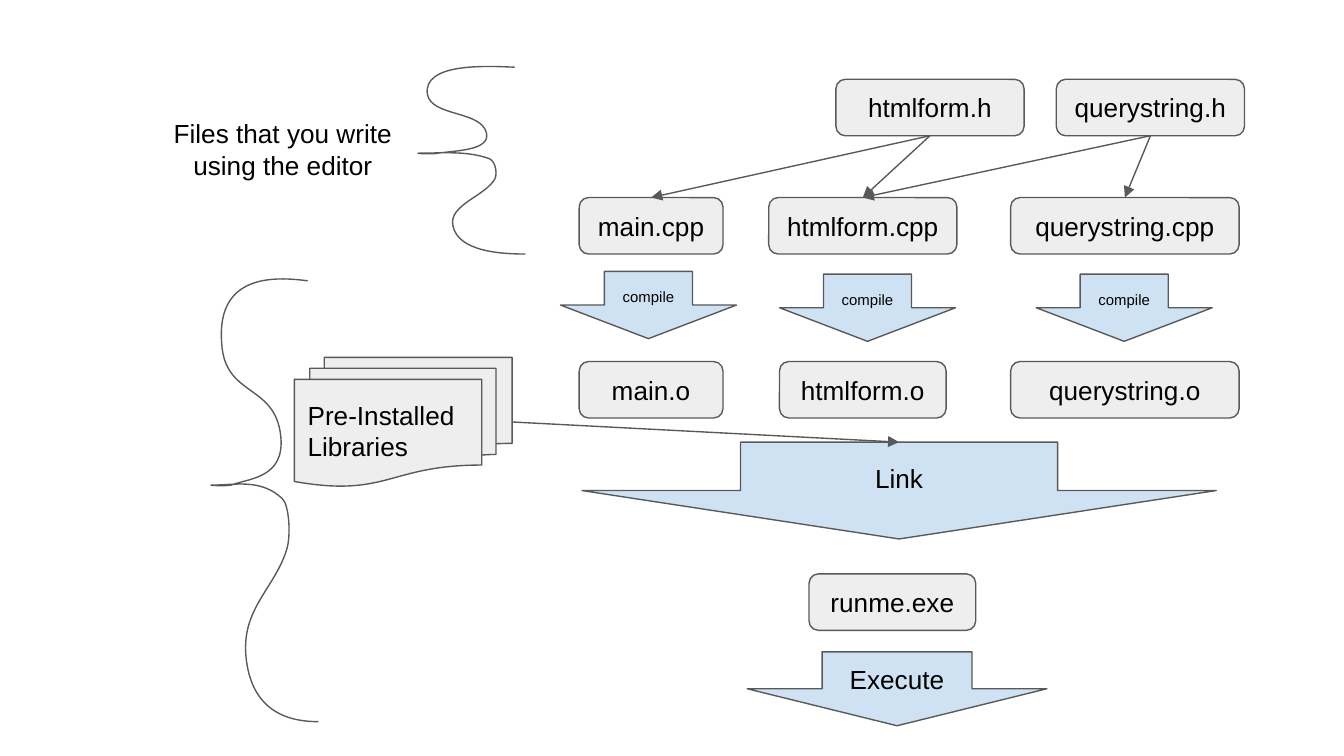
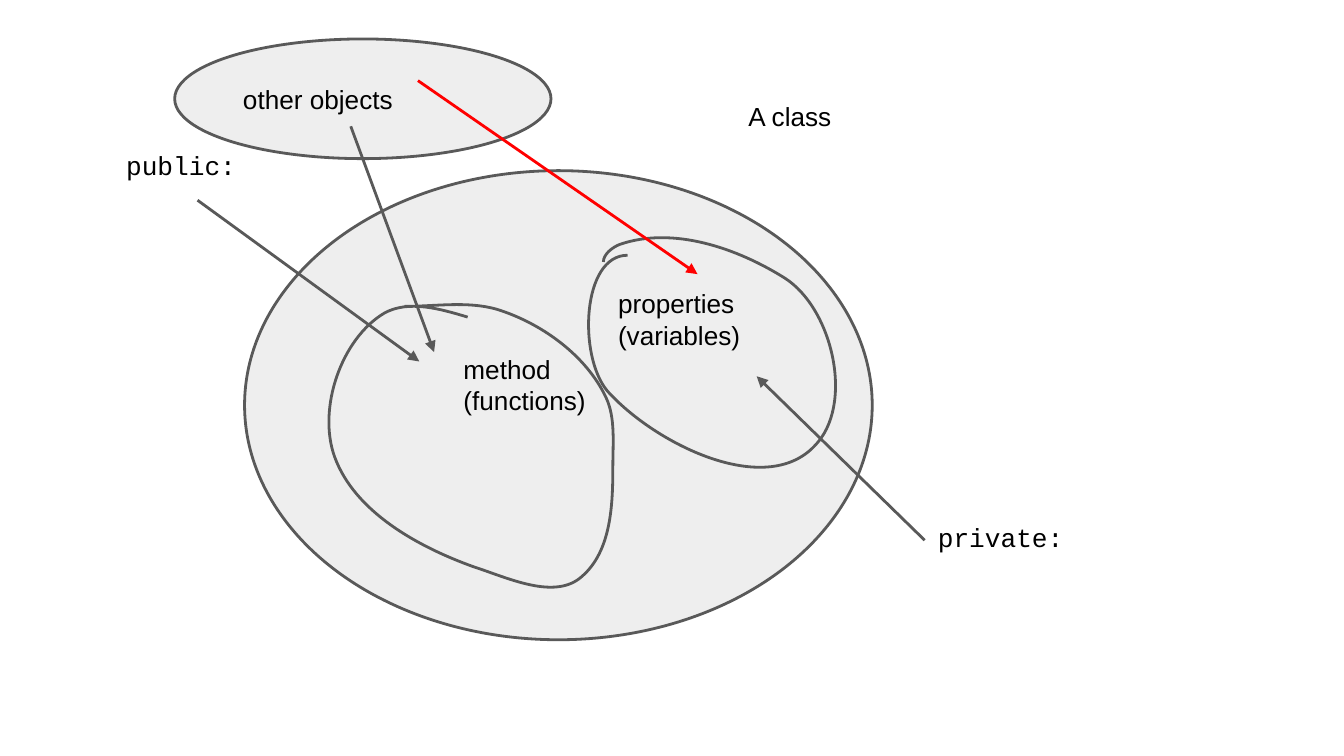
import pptx
import pptx.dml.color
import pptx.enum.shapes
import pptx.enum.text
import pptx.oxml.ns
import pptx.util
from lxml import etree

COLORS = {
    "grey": "EEEEEE",
    "blue": "CFE2F3",
    "line": "595959",
    "red": "FF0000",
    "text": "000000",
}
SHAPES = pptx.enum.shapes.MSO_SHAPE
ALIGN = pptx.enum.text.PP_ALIGN
ANCHOR = pptx.enum.text.MSO_ANCHOR
TOP, BOTTOM, RIGHT = 0, 2, 3  # connection sites
qn = pptx.oxml.ns.qn


def inch(n):
    return pptx.util.Cm(2.54 * n)


def rgb(name):
    return pptx.dml.color.RGBColor.from_string(COLORS[name])


def write(tf, text, size=14, font="Arial", align=ALIGN.LEFT, anchor=ANCHOR.MIDDLE):
    tf.word_wrap = True
    tf.vertical_anchor = anchor
    tf.margin_left = tf.margin_right = tf.margin_top = tf.margin_bottom = inch(0.1)
    p = tf.paragraphs[0]
    p.alignment = align
    r = p.add_run()
    r.text = text
    r.font.size = pptx.util.Pt(size)
    r.font.name = font
    r.font.color.rgb = rgb("text")


class Deck:
    """Holds the presentation, the current slide and its line width."""

    def __init__(self):
        self.prs = pptx.Presentation()
        self.prs.slide_width = inch(10)
        self.prs.slide_height = inch(5.625)

    def new_slide(self, weight):
        s = self.prs.slides.add_slide(self.prs.slide_layouts[6])
        self.shapes = s.shapes
        self.weight = pptx.util.Pt(weight)

    def outline(self, line, color="line"):
        line.color.rgb = rgb(color)
        line.width = self.weight

    def shape(self, kind, box, fill="grey", text=None, **fmt):
        sp = self.shapes.add_shape(kind, *map(inch, box))
        sp.shadow.inherit = False
        sp.fill.solid()
        sp.fill.fore_color.rgb = rgb(fill)
        self.outline(sp.line)
        if text:
            write(sp.text_frame, text, **fmt)
        return sp

    def file_box(self, text, x, y, w):
        return self.shape(SHAPES.FLOWCHART_ALTERNATE_PROCESS, (x, y, w, 0.42),
                          text=text, align=ALIGN.CENTER)

    def step(self, text, box, size=14):
        return self.shape(SHAPES.DOWN_ARROW, box, "blue", text,
                          size=size, align=ALIGN.CENTER)

    def label(self, text, box, **fmt):
        sp = self.shapes.add_textbox(*map(inch, box))
        write(sp.text_frame, text, **fmt)

    def arrow(self, start=(0, 0), end=(0, 0), color="line"):
        c = self.shapes.add_connector(pptx.enum.shapes.MSO_CONNECTOR.STRAIGHT,
                                      *map(inch, start + end))
        self.outline(c.line, color)
        spPr = c._element.spPr
        etree.SubElement(spPr.find(qn("a:ln")), qn("a:tailEnd"), type="triangle")
        etree.SubElement(spPr, qn("a:effectLst"))
        return c

    def join(self, source, site, target):
        c = self.arrow()
        c.begin_connect(source, site)
        c.end_connect(target, TOP)

    def curve(self, start, *points):
        """Draw Bezier segments; each takes two control points and an end."""
        fb = self.shapes.build_freeform(*map(inch, start))
        fb.add_line_segments([(inch(x), inch(y)) for x, y in points], close=False)
        sp = fb.convert_to_shape()
        sp.shadow.inherit = False
        sp.fill.background()
        self.outline(sp.line)
        lines = list(sp._element.iter(qn("a:lnTo")))
        for i in range(0, len(lines), 3):
            bezier = etree.Element(qn("a:cubicBezTo"))
            lines[i].addprevious(bezier)
            for ln in lines[i:i + 3]:
                bezier.append(ln[0])
                ln.getparent().remove(ln)


def build_process(deck):
    deck.new_slide(0.75)

    # Headers
    form_h = deck.file_box("htmlform.h", 6.22, 0.59, 1.4)
    query_h = deck.file_box("querystring.h", 7.86, 0.59, 1.4)

    # Each source file compiles to an object file
    sources = {}
    for name, x, w, arrow_x, arrow_y, obj_x, obj_w in [
        ("main", 4.31, 1.07, 4.17, 2.02, 4.31, 1.07),
        ("htmlform", 5.72, 1.4, 5.8, 2.04, 5.8, 1.24),
        ("querystring", 7.52, 1.7, 7.71, 2.04, 7.52, 1.7),
    ]:
        sources[name] = deck.file_box(name + ".cpp", x, 1.47, w)
        deck.step("compile", (arrow_x, arrow_y, 1.31, 0.5), size=8)
        deck.file_box(name + ".o", obj_x, 2.69, obj_w)

    # Link and run
    link = deck.step("Link", (4.33, 3.29, 4.72, 0.72))
    deck.file_box("runme.exe", 6.02, 4.27, 1.24)
    deck.step("Execute", (5.56, 4.85, 2.23, 0.55))
    libraries = deck.shape(SHAPES.FLOWCHART_MULTIDOCUMENT, (2.19, 2.66, 1.62, 0.96),
                           text="Pre-Installed Libraries")

    # Dependencies
    for header, name in [(form_h, "htmlform"), (form_h, "main"),
                         (query_h, "htmlform"), (query_h, "querystring")]:
        deck.join(header, BOTTOM, sources[name])
    deck.join(libraries, RIGHT, link)

    # Hand-drawn braces
    deck.label("Files that you write using the editor", (1.08, 0.75, 2.05, 0.72),
               align=ALIGN.CENTER)
    deck.curve((3.83, 0.5),
               (3.6, 0.49), (3.15, 0.47), (3.18, 0.7),
               (3.21, 0.87), (3.58, 0.82), (3.62, 0.99),
               (3.65, 1.12), (3.39, 1.12), (3.26, 1.14),
               (3.21, 1.15), (3.07, 1.14), (3.12, 1.14),
               (3.29, 1.14), (3.47, 1.12), (3.64, 1.18),
               (3.69, 1.2), (3.71, 1.31), (3.67, 1.35),
               (3.58, 1.47), (3.34, 1.53), (3.37, 1.68),
               (3.41, 1.87), (3.72, 1.89), (3.91, 1.89))
    deck.curve((2.29, 2.09),
               (2.06, 2.06), (1.61, 2.03), (1.65, 2.55),
               (1.67, 2.96), (2.05, 2.85), (2.09, 3.25),
               (2.12, 3.56), (1.85, 3.56), (1.72, 3.61),
               (1.67, 3.62), (1.53, 3.61), (1.58, 3.61),
               (1.75, 3.61), (1.94, 3.56), (2.1, 3.71),
               (2.15, 3.75), (2.17, 3.99), (2.13, 4.1),
               (2.04, 4.38), (1.8, 4.53), (1.83, 4.88),
               (1.87, 5.32), (2.18, 5.37), (2.37, 5.37))


def build_class(deck):
    deck.new_slide(1.5)

    # Class and its labels
    deck.shape(SHAPES.OVAL, (1.82, 1.27, 4.67, 3.49))
    for text, box, font in [
        ("A class", (5.47, 0.65, 1.02, 0.62), "Arial"),
        ("method (functions)", (3.35, 2.53, 1.39, 0.69), "Arial"),
        ("properties (variables)", (4.5, 2.04, 1.39, 0.69), "Arial"),
        ("public:", (0.84, 1.01, 1.26, 0.48), "Courier New"),
        ("private:", (6.88, 3.78, 1.26, 0.48), "Courier New"),
    ]:
        deck.label(text, box, font=font, anchor=ANCHOR.TOP)

    # Properties and methods regions
    deck.curve((4.67, 1.9),
               (4.33, 1.9), (4.3, 2.65), (4.52, 2.91),
               (4.87, 3.3), (5.69, 3.71), (6.06, 3.32),
               (6.36, 3.02), (6.2, 2.3), (5.84, 2.07),
               (5.49, 1.85), (5.01, 1.68), (4.61, 1.82),
               (4.56, 1.84), (4.49, 1.89), (4.49, 1.95))
    deck.curve((3.48, 2.36),
               (3.28, 2.3), (3.04, 2.23), (2.86, 2.33),
               (2.54, 2.52), (2.36, 3.04), (2.49, 3.4),
               (2.64, 3.81), (3.11, 4.07), (3.53, 4.22),
               (3.78, 4.3), (4.13, 4.47), (4.33, 4.29),
               (4.55, 4.1), (4.56, 3.75), (4.56, 3.47),
               (4.56, 3.3), (4.58, 3.11), (4.51, 2.96),
               (4.36, 2.64), (4.02, 2.4), (3.69, 2.3),
               (3.47, 2.24), (3.24, 2.28), (3.01, 2.28))

    # Access from outside
    deck.shape(SHAPES.OVAL, (1.3, 0.29, 2.8, 0.89), text="other objects")
    deck.arrow((1.47, 1.49), (3.12, 2.69))
    deck.arrow((6.88, 4.02), (5.63, 2.8))
    deck.arrow((2.61, 0.94), (3.23, 2.62))
    deck.arrow((3.11, 0.6), (5.19, 2.04), "red")


def main():
    deck = Deck()
    build_process(deck)
    build_class(deck)
    deck.prs.save("out.pptx")


if __name__ == "__main__":
    main()
